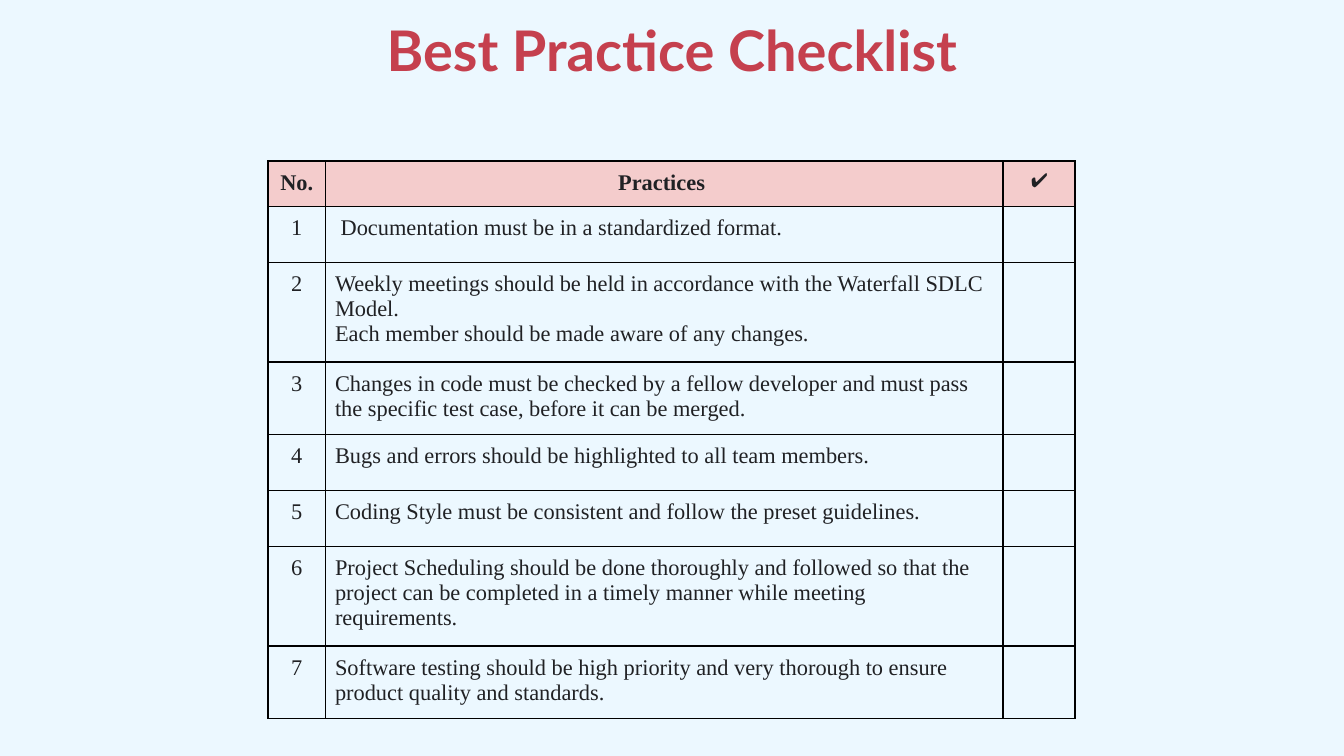
import lxml.etree
import pptx
import pptx.dml.color
import pptx.enum.text
import pptx.oxml.ns
import pptx.util

Pt = pptx.util.Pt
ALIGN = pptx.enum.text.PP_ALIGN
ANCHOR = pptx.enum.text.MSO_ANCHOR

PRACTICES = [
    " Documentation must be in a standardized format.",
    "Weekly meetings should be held in accordance with the Waterfall SDLC Model.\n"
    "Each member should be made aware of any changes.",
    "Changes in code must be checked by a fellow developer and must pass "
    "the specific test case, before it can be merged.",
    "Bugs and errors should be highlighted to all team members.",
    "Coding Style must be consistent and follow the preset guidelines.",
    "Project Scheduling should be done thoroughly and followed so that the "
    "project can be completed in a timely manner while meeting requirements.",
    "Software testing should be high priority and very thorough to ensure "
    "product quality and standards.",
]
COLUMN_WIDTHS = [31, 363, 38.6]
HEADER_HEIGHT = 23.5
ROW_HEIGHTS = {1: 30, 2: 36.5, 3: 50}  # by number of text lines
LINE_COUNTS = [1, 3, 2, 1, 1, 3, 2]


def color(hex_value):
    return pptx.dml.color.RGBColor.from_string(hex_value)


def write(frame, text, size=12, font="Times New Roman", ink="202124",
          bold=False, align=ALIGN.LEFT, margin=5.04):
    frame.word_wrap = True
    frame.margin_left = frame.margin_right = Pt(margin)
    frame.margin_top = frame.margin_bottom = Pt(margin)
    for index, line in enumerate(text.split("\n")):
        para = frame.add_paragraph() if index else frame.paragraphs[0]
        para.alignment = align
        span = para.add_run()
        span.text = line
        span.font.size = Pt(size)
        span.font.name = font
        span.font.bold = bold
        span.font.color.rgb = color(ink)


def add_borders(cell, ink="000000", width=1):
    properties = cell._tc.get_or_add_tcPr()
    qn = pptx.oxml.ns.qn
    for index, side in enumerate(("a:lnL", "a:lnR", "a:lnT", "a:lnB")):
        line = lxml.etree.Element(qn(side), w=str(Pt(width)))
        fill = lxml.etree.SubElement(line, qn("a:solidFill"))
        lxml.etree.SubElement(fill, qn("a:srgbClr"), val=ink)
        properties.insert(index, line)  # borders come before the fill


def add_title(page, left, top, width, height):
    box = page.shapes.add_textbox(Pt(left), Pt(top), Pt(width), Pt(height))
    box.text_frame.vertical_anchor = ANCHOR.BOTTOM
    write(box.text_frame, "Best Practice Checklist", size=30, font="Lato",
          ink="C5404E", bold=True, align=ALIGN.CENTER, margin=7.2)


def add_checklist(page, left, top):
    heights = [HEADER_HEIGHT] + [ROW_HEIGHTS[count] for count in LINE_COUNTS]
    table = page.shapes.add_table(
        len(heights), len(COLUMN_WIDTHS), Pt(left), Pt(top),
        Pt(sum(COLUMN_WIDTHS)), Pt(sum(heights))).table
    table.first_row = table.horz_banding = False
    for column, width in zip(table.columns, COLUMN_WIDTHS):
        column.width = Pt(width)
    for row, height in zip(table.rows, heights):
        row.height = Pt(height)
    for cell in table.iter_cells():
        cell.fill.background()
        add_borders(cell)

    # Header row
    for index, (label, size) in enumerate([("No.", 12), ("Practices ", 12), ("✔", 10.5)]):
        cell = table.cell(0, index)
        cell.fill.solid()
        cell.fill.fore_color.rgb = color("F4CCCC")
        write_cell(cell, label, size=size, bold=True, align=ALIGN.CENTER)

    # Numbered practices, with the last column left open for ticks
    for number, practice in enumerate(PRACTICES, 1):
        write_cell(table.cell(number, 0), str(number), align=ALIGN.CENTER)
        write_cell(table.cell(number, 1), practice)


def write_cell(cell, text, margin=5.04, **style):
    write(cell.text_frame, text, **style)
    cell.margin_left = cell.margin_right = Pt(margin)
    cell.margin_top = cell.margin_bottom = Pt(margin)


def main():
    deck = pptx.Presentation()
    deck.slide_width, deck.slide_height = Pt(720), Pt(405)
    page = deck.slides.add_slide(deck.slide_layouts[6])
    page.background.fill.solid()
    page.background.fill.fore_color.rgb = color("ECF8FF")
    add_title(page, 194.4, 15.8, 331.2, 36)
    add_checklist(page, 143.5, 86.25)
    deck.save("out.pptx")


if __name__ == "__main__":
    main()
